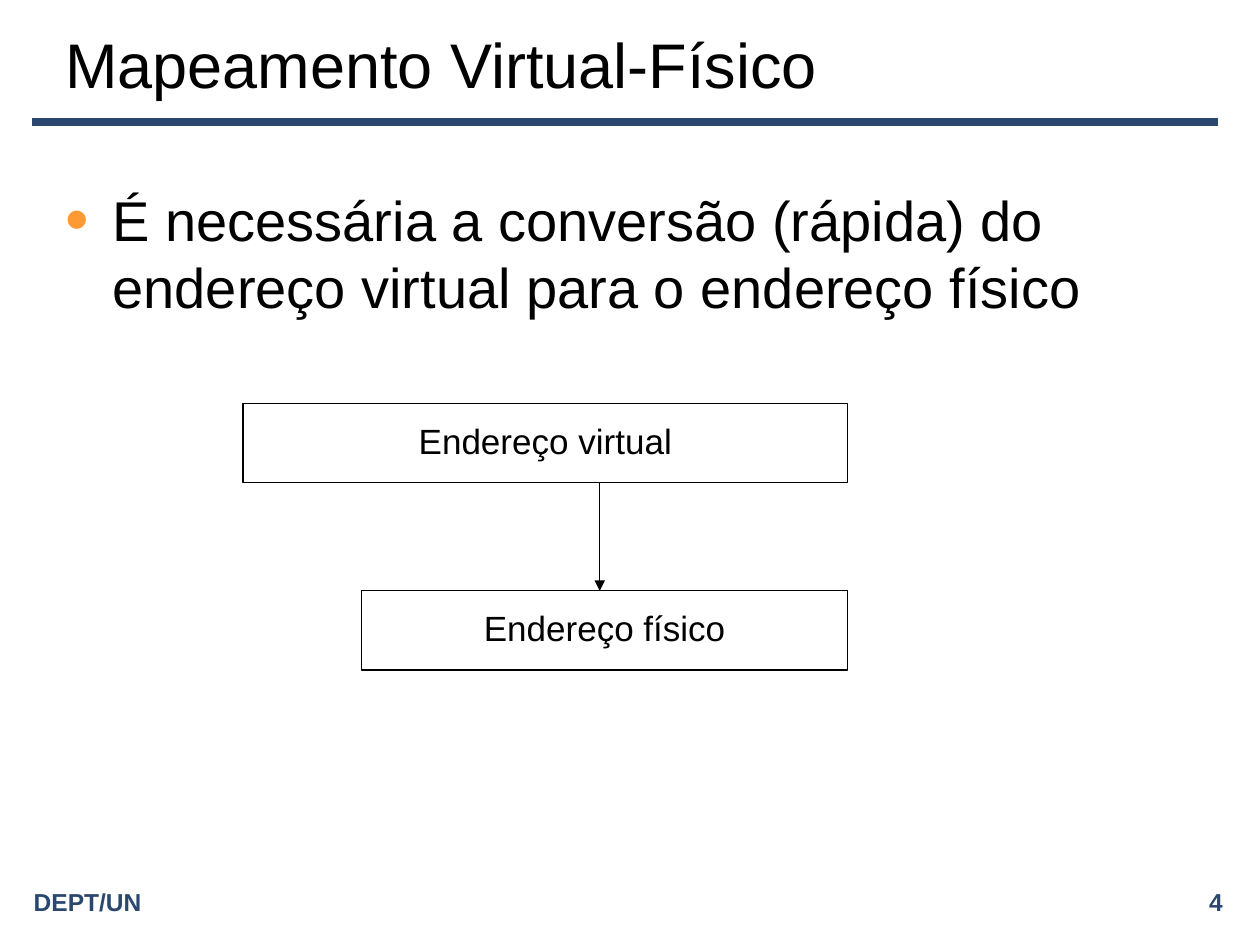
"""Build the slide on mapping virtual to physical addresses."""
import pptx
import pptx.util
import pptx.dml.color
import pptx.enum.shapes
import pptx.enum.text
import pptx.oxml
import pptx.oxml.ns

Cm, Pt = pptx.util.Cm, pptx.util.Pt
ALIGN = pptx.enum.text.PP_ALIGN
ANCHOR = pptx.enum.text.MSO_ANCHOR
KIND = pptx.enum.shapes.MSO_SHAPE
LINK = pptx.enum.shapes.MSO_CONNECTOR

COLORS = {"ink": "000000", "navy": "2A476F", "dot": "FF9933"}
FONT = "Arial"
TITLE = "Mapeamento Virtual-Físico"
POINT = "É necessária a conversão (rápida) do endereço virtual para o endereço físico"
FOOTER = [("4", 15.04, ALIGN.RIGHT), ("DEPT/UN", 0.43, ALIGN.LEFT)]
BOXES = [("Endereço virtual", 4.9, 8.13), ("Endereço físico", 7.29, 11.91)]
RIGHT, HIGH = 17.09, 1.6
ARROW = 12.09


def color(name):
    return pptx.dml.color.RGBColor.from_string(COLORS[name])


def write(shape, text, size, tint="ink", align=ALIGN.LEFT, anchor=ANCHOR.MIDDLE, bold=False):
    frame = shape.text_frame
    frame.text = text
    frame.word_wrap = True
    frame.vertical_anchor = anchor
    line = frame.paragraphs[0]
    line.alignment = align
    font = line.runs[0].font
    font.name, font.size, font.bold = FONT, Pt(size), bold
    font.color.rgb = color(tint)
    return line


def place(slide, left, top, width, height):
    return slide.shapes.add_textbox(Cm(left), Cm(top), Cm(width), Cm(height))


def add(parent, tag, **attrs):
    node = pptx.oxml.ns.qn(tag)
    child = parent.makeelement(node, attrs)
    parent.append(child)
    return child


def link(slide, start, end, tint, width):
    line = slide.shapes.add_connector(LINK.STRAIGHT, *map(Cm, start + end))
    line.line.color.rgb = color(tint)
    line.line.width = Pt(width)
    add(line._element.spPr, "a:effectLst")
    return line


def bullet(line):
    props = line._p.get_or_add_pPr()
    props.set("marL", str(Cm(0.95)))
    props.set("indent", str(-Cm(0.95)))
    add(add(props, "a:buClr"), "a:srgbClr", val=COLORS["dot"])
    add(props, "a:buSzPct", val="120000")
    add(props, "a:buFont", typeface=FONT)
    add(props, "a:buChar", char="•")


def box(slide, text, left, top):
    shape = slide.shapes.add_shape(KIND.RECTANGLE, Cm(left), Cm(top), Cm(RIGHT - left), Cm(HIGH))
    shape.shadow.inherit = False
    shape.fill.background()
    shape.line.color.rgb = color("ink")
    shape.line.width = Pt(0.75)
    line = write(shape, text, 20, align=ALIGN.CENTER)
    line.space_before = Pt(4)
    shape.text_frame.word_wrap = False
    shape.text_frame.margin_bottom = Cm(0.23)


def main():
    deck = pptx.Presentation()
    deck.slide_width, deck.slide_height = Cm(25.4), Cm(19.05)
    slide = deck.slides.add_slide(deck.slide_layouts[6])
    link(slide, (0.64, 2.46), (24.56, 2.46), "navy", 4.5)
    for text, left, align in FOOTER:
        write(place(slide, left, 17.78, 9.86, 0.79), text, 14, "navy", align, bold=True)
    write(place(slide, 1.07, 0.43, 22.23, 1.7), TITLE, 36)
    line = write(place(slide, 1.07, 3.61, 22.86, 12.57), POINT, 32, anchor=ANCHOR.TOP)
    line.space_before = Pt(6.4)
    bullet(line)
    for text, left, top in BOXES:
        box(slide, text, left, top)
    start, end = BOXES[0][2] + HIGH, BOXES[1][2]
    arrow = link(slide, (ARROW, start), (ARROW, end), "ink", 0.75)
    add(arrow.line._get_or_add_ln(), "a:tailEnd", type="triangle")
    deck.save("out.pptx")


if __name__ == "__main__":
    main()
